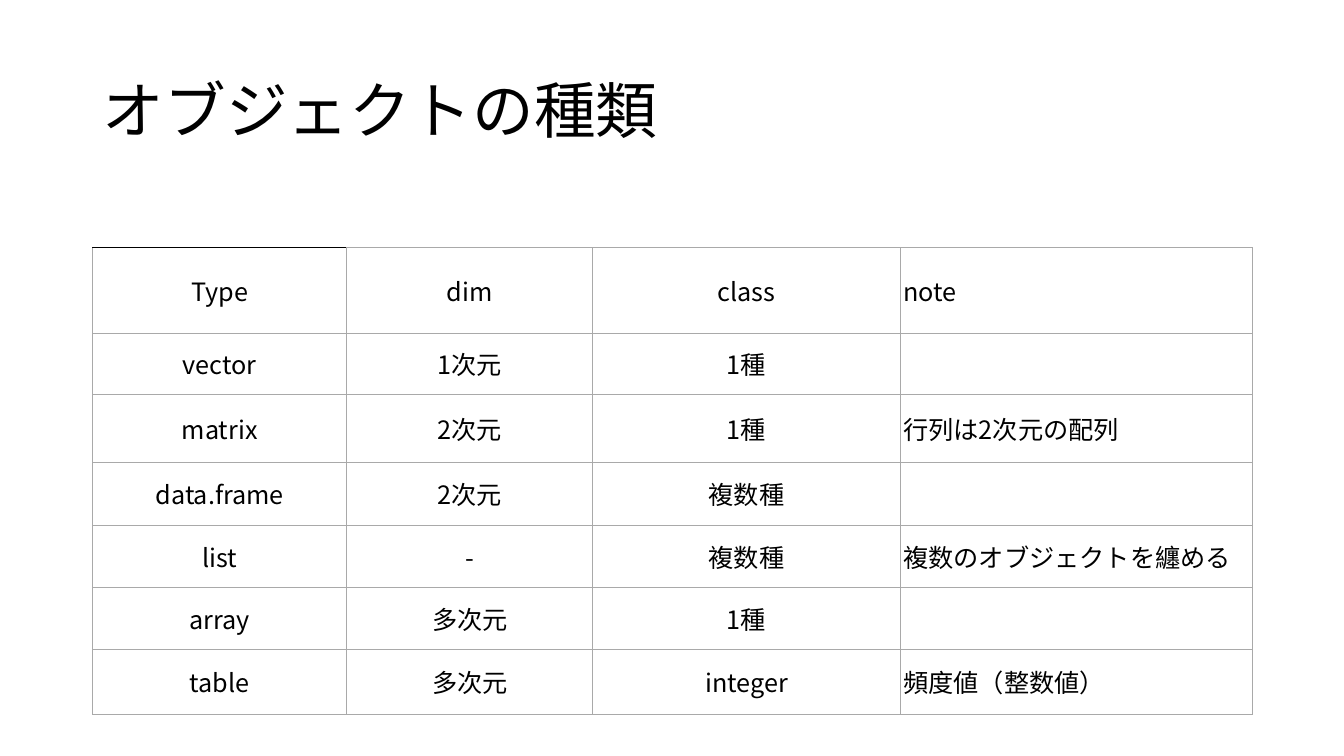
"""Build a slide with a table of R object types."""
import lxml.etree
import pptx
import pptx.dml.color
import pptx.enum.text
import pptx.oxml.ns
import pptx.util

TITLE = "オブジェクトの種類"
ROWS = [
    ("Type", "dim", "class", "note"),
    ("vector", "1次元", "1種", ""),
    ("matrix", "2次元", "1種", "行列は2次元の配列"),
    ("data.frame", "2次元", "複数種", ""),
    ("list", "-", "複数種", "複数のオブジェクトを纏める"),
    ("array", "多次元", "1種", ""),
    ("table", "多次元", "integer", "頻度値（整数値）"),
]
COLUMN_WIDTHS = [2.52, 2.44, 3.05, 3.49]
ROW_HEIGHTS = [0.85, 0.6, 0.68, 0.62, 0.62, 0.61, 0.65]
NOTE_COLUMN = 3
LEFT, TITLE_TOP, TITLE_HEIGHT, TABLE_TOP = 0.92, 0.4, 1.45, 2.46
CELL_MARGIN = 0.03
BORDER_WIDTH = 0.75
FONT = "Noto Sans CJK JP"
BLACK = pptx.dml.color.RGBColor(0x00, 0x00, 0x00)
WHITE = pptx.dml.color.RGBColor(0xFF, 0xFF, 0xFF)
GRAY = pptx.dml.color.RGBColor(0xA9, 0xA9, 0xA9)
ALIGN = pptx.enum.text.PP_ALIGN
MIDDLE = pptx.enum.text.MSO_ANCHOR.MIDDLE
inches = pptx.util.Inches
qn = pptx.oxml.ns.qn


def write(frame, text, size, align=ALIGN.LEFT, line_spacing=None):
    """Put one formatted paragraph into a text frame."""
    para = frame.paragraphs[0]
    para.alignment = align
    para.line_spacing = line_spacing
    span = para.add_run()
    span.text = text
    span.font.size = pptx.util.Pt(size)
    span.font.name = FONT
    span.font.color.rgb = BLACK
    properties = span.font._element
    lxml.etree.SubElement(properties, qn("a:ea"), typeface=FONT)


def add_border(cell, side, color):
    """Draw one side of a cell."""
    properties = cell._tc.get_or_add_tcPr()
    width = str(pptx.util.Pt(BORDER_WIDTH))
    line = lxml.etree.SubElement(properties, qn("a:ln" + side), w=width)
    fill = lxml.etree.SubElement(line, qn("a:solidFill"))
    lxml.etree.SubElement(fill, qn("a:srgbClr"), val=str(color))


def add_title(page):
    """Place and fill the title placeholder."""
    title = page.shapes.title
    title.left, title.top = inches(LEFT), inches(TITLE_TOP)
    title.width, title.height = inches(sum(COLUMN_WIDTHS)), inches(TITLE_HEIGHT)
    frame = title.text_frame
    frame.auto_size = pptx.enum.text.MSO_AUTO_SIZE.NONE
    frame.vertical_anchor = MIDDLE
    write(frame, TITLE, 44, line_spacing=0.9)


def add_types_table(page):
    """Add the table of object types."""
    table = page.shapes.add_table(
        len(ROWS), len(COLUMN_WIDTHS), inches(LEFT), inches(TABLE_TOP),
        inches(sum(COLUMN_WIDTHS)), inches(sum(ROW_HEIGHTS))).table
    table.first_row = table.horz_banding = False
    for column, width in zip(table.columns, COLUMN_WIDTHS):
        column.width = inches(width)
    for row, height in zip(table.rows, ROW_HEIGHTS):
        row.height = inches(height)
    for row_index, texts in enumerate(ROWS):
        for column_index, text in enumerate(texts):
            cell = table.cell(row_index, column_index)
            cell.vertical_anchor = MIDDLE
            cell.margin_left = cell.margin_right = inches(CELL_MARGIN)
            cell.margin_top = cell.margin_bottom = inches(CELL_MARGIN)
            for side in "LRTB":
                is_corner_top = row_index == column_index == 0 and side == "T"
                add_border(cell, side, BLACK if is_corner_top else GRAY)
            cell.fill.solid()
            cell.fill.fore_color.rgb = WHITE
            if text:
                align = ALIGN.LEFT if column_index == NOTE_COLUMN else ALIGN.CENTER
                write(cell.text_frame, text, 18, align=align)


def main():
    """Create and save the deck."""
    deck = pptx.Presentation()
    deck.slide_width, deck.slide_height = inches(13.33), inches(7.5)
    page = deck.slides.add_slide(deck.slide_layouts.get_by_name("Title Only"))
    add_title(page)
    add_types_table(page)
    deck.save("out.pptx")


if __name__ == "__main__":
    main()
